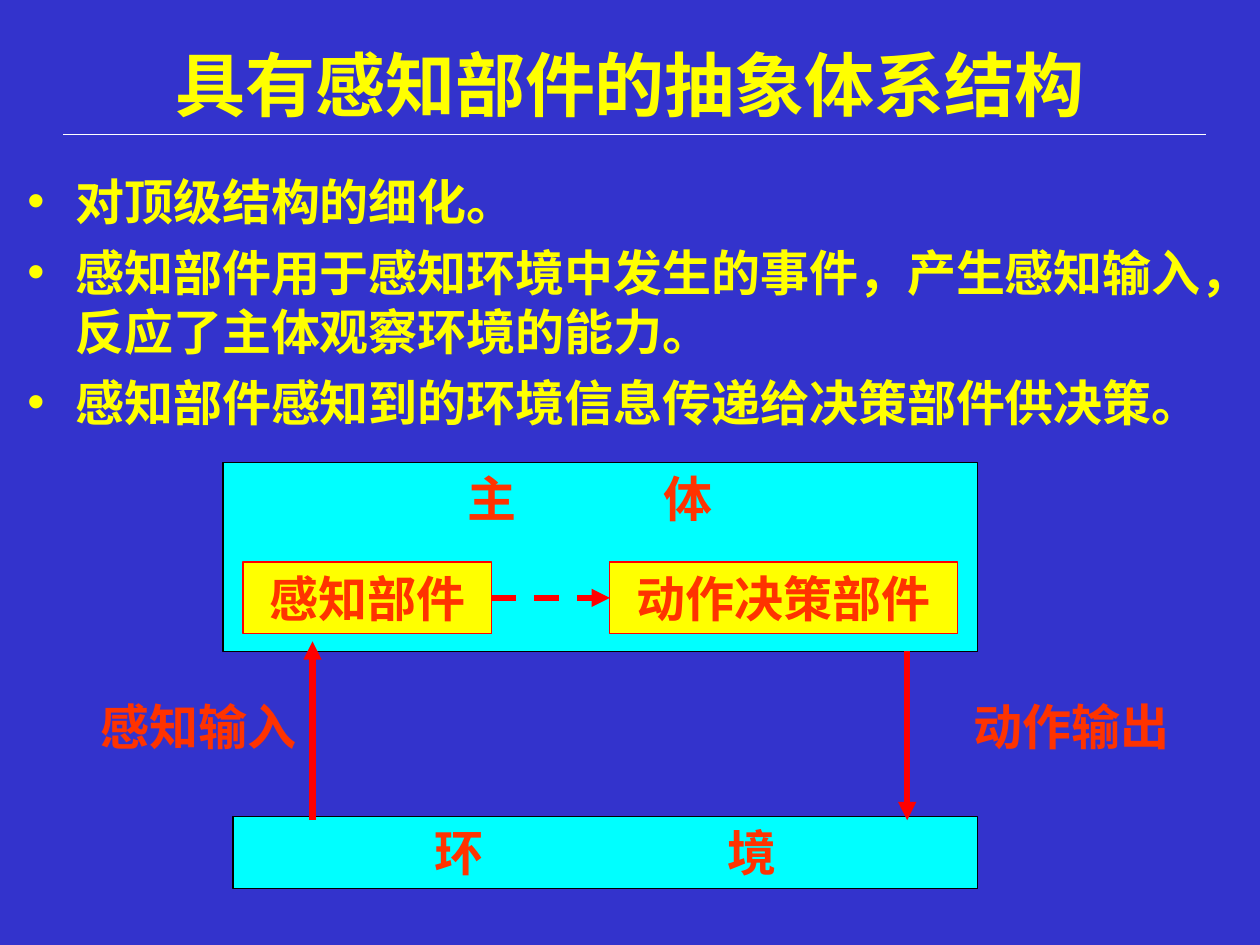
from dataclasses import dataclass

from lxml import etree
from pptx import Presentation
from pptx.dml.color import RGBColor
from pptx.enum import dml, shapes, text
from pptx.oxml import ns
from pptx.util import Inches, Pt


@dataclass(frozen=True)
class Theme:
    background: str = "3333CC"
    heading: str = "FFFF00"
    label: str = "FF3300"
    panel: str = "00FFFF"
    component: str = "FFFF00"
    outline: str = "000000"
    flow: str = "FF0000"
    rule: str = "FFFFFF"
    font: str = "Arial"
    title_size: int = 40
    text_size: int = 28
    thin: float = 0.75
    thick: float = 3.5


THEME = Theme()
ROW = 0.57  # height of a one-line box


def colour(value):
    return RGBColor.from_string(value)


def add_run(paragraph, words, size, ink, gap=0):
    """Add a bold run; gap is extra room after each character, in points."""
    run = paragraph.add_run()
    run.text = words
    formats = {"name": THEME.font, "size": Pt(size), "bold": True}
    for name, value in formats.items():
        setattr(run.font, name, value)
    run.font.color.rgb = colour(ink)
    properties = run._r.get_or_add_rPr()
    east_asian = etree.SubElement(properties, ns.qn("a:ea"))
    east_asian.set("typeface", THEME.font)
    if gap:
        properties.set("spc", str(gap * 100))


def set_frame(shape, anchor=text.MSO_ANCHOR.TOP):
    frame = shape.text_frame
    formats = {"word_wrap": True, "vertical_anchor": anchor,
               "margin_left": Inches(0.1), "margin_right": Inches(0.1),
               "margin_top": Inches(0.05), "margin_bottom": Inches(0.05)}
    for name, value in formats.items():
        setattr(frame, name, value)
    return frame


def write_label(shape, words, spaces=0):
    """Centre a label, with room for some full-width characters after its first one."""
    paragraph = set_frame(shape).paragraphs[0]
    paragraph.alignment = text.PP_ALIGN.CENTER
    if spaces:
        add_run(paragraph, words[0], THEME.text_size, THEME.label,
                gap=spaces * THEME.text_size)
        words = words[1:]
    add_run(paragraph, words, THEME.text_size, THEME.label)


def add_text(slide, box):
    return slide.shapes.add_textbox(*map(Inches, box))


def add_box(slide, box, fill, line):
    shape = slide.shapes.add_shape(shapes.MSO_SHAPE.RECTANGLE, *map(Inches, box))
    shape.shadow.inherit = False
    shape.fill.solid()
    shape.fill.fore_color.rgb = colour(fill)
    shape.line.color.rgb = colour(line)
    shape.line.width = Pt(THEME.thin)
    return shape


def add_line(slide, start, end, ink, width, arrow=False):
    connector = slide.shapes.add_connector(
        shapes.MSO_CONNECTOR.STRAIGHT, *map(Inches, (*start, *end)))
    connector.line.color.rgb = colour(ink)
    connector.line.width = Pt(width)
    properties = connector._element.spPr
    etree.SubElement(properties, ns.qn("a:effectLst"))
    if arrow:
        outline = properties.find(ns.qn("a:ln"))
        etree.SubElement(outline, ns.qn("a:tailEnd")).set("type", "triangle")
    return connector


def add_title(slide, box, words):
    frame = set_frame(add_text(slide, box), text.MSO_ANCHOR.MIDDLE)
    paragraph = frame.paragraphs[0]
    paragraph.alignment = text.PP_ALIGN.CENTER
    add_run(paragraph, words, THEME.title_size, THEME.heading)
    left, top, width, height = box
    rule = top + height + 0.02
    add_line(slide, (left, rule), (left + width + 0.07, rule), THEME.rule, THEME.thin)


def add_bullets(slide, box, items):
    frame = set_frame(add_text(slide, box))
    for index, words in enumerate(items):
        paragraph = frame.add_paragraph() if index else frame.paragraphs[0]
        properties = paragraph._p.get_or_add_pPr()
        properties.set("marL", str(Inches(0.38)))
        properties.set("indent", str(Inches(-0.38)))
        if index:
            paragraph.space_before = Pt(7)
        bullet_colour = etree.SubElement(properties, ns.qn("a:buClr"))
        etree.SubElement(bullet_colour, ns.qn("a:srgbClr")).set("val", THEME.heading)
        etree.SubElement(properties, ns.qn("a:buFont")).set("typeface", THEME.font)
        etree.SubElement(properties, ns.qn("a:buChar")).set("char", "•")
        add_run(paragraph, words, THEME.text_size, THEME.heading)


def add_agent(slide, box):
    """Draw the agent panel with its two components and the link between them."""
    left, top, width, height = box
    add_box(slide, box, THEME.panel, THEME.outline)
    write_label(add_text(slide, (left + 1.42, top, 2.99, ROW)), "主体", spaces=3)
    row = top + 0.79
    components = []
    for words, offset, size in (("感知部件", 0.16, 1.97), ("动作决策部件", 3.07, 2.76)):
        component = add_box(slide, (left + offset, row, size, ROW),
                            THEME.component, THEME.flow)
        write_label(component, words)
        components.append(component)
    middle = row + ROW / 2
    link = add_line(slide, (left + 2.13, middle), (left + 3.07, middle),
                    THEME.flow, THEME.thick, arrow=True)
    link.line.dash_style = dml.MSO_LINE.DASH
    link.begin_connect(components[0], 3)
    link.end_connect(components[1], 1)


def add_environment(slide, box):
    write_label(add_box(slide, box, THEME.panel, THEME.outline), "环境", spaces=5)


def add_flows(slide, box):
    """Draw the input arrow, the output arrow and their labels."""
    left, top, width, height = box
    bottom = top + height
    label_width = 1.81
    source, sink = left + label_width, left + 6.53
    add_line(slide, (source, bottom), (source, top - 0.08),
             THEME.flow, THEME.thick, arrow=True)
    add_line(slide, (sink, top), (sink, bottom), THEME.flow, THEME.thick, arrow=True)
    for words, start in (("感知输入", left), ("动作输出", left + width - label_width)):
        write_label(add_text(slide, (start, top + 0.31, label_width, ROW)), words)


def main():
    presentation = Presentation()
    presentation.slide_width = Inches(10)
    presentation.slide_height = Inches(7.5)
    slide = presentation.slides.add_slide(presentation.slide_layouts[6])
    slide.background.fill.solid()
    slide.background.fill.fore_color.rgb = colour(THEME.background)

    add_title(slide, (0.5, 0.28, 9, 0.77), "具有感知部件的抽象体系结构")
    add_bullets(slide, (0.12, 1.31, 9.53, 2.28), (
        "对顶级结构的细化。",
        "感知部件用于感知环境中发生的事件，产生感知输入，反应了主体观察环境的能力。",
        "感知部件感知到的环境信息传递给决策部件供决策。",
    ))
    add_agent(slide, (1.77, 3.67, 5.99, 1.5))
    add_environment(slide, (1.85, 6.48, 5.91, ROW))
    add_flows(slide, (0.67, 5.17, 8.74, 1.34))
    presentation.save("out.pptx")


if __name__ == "__main__":
    main()
